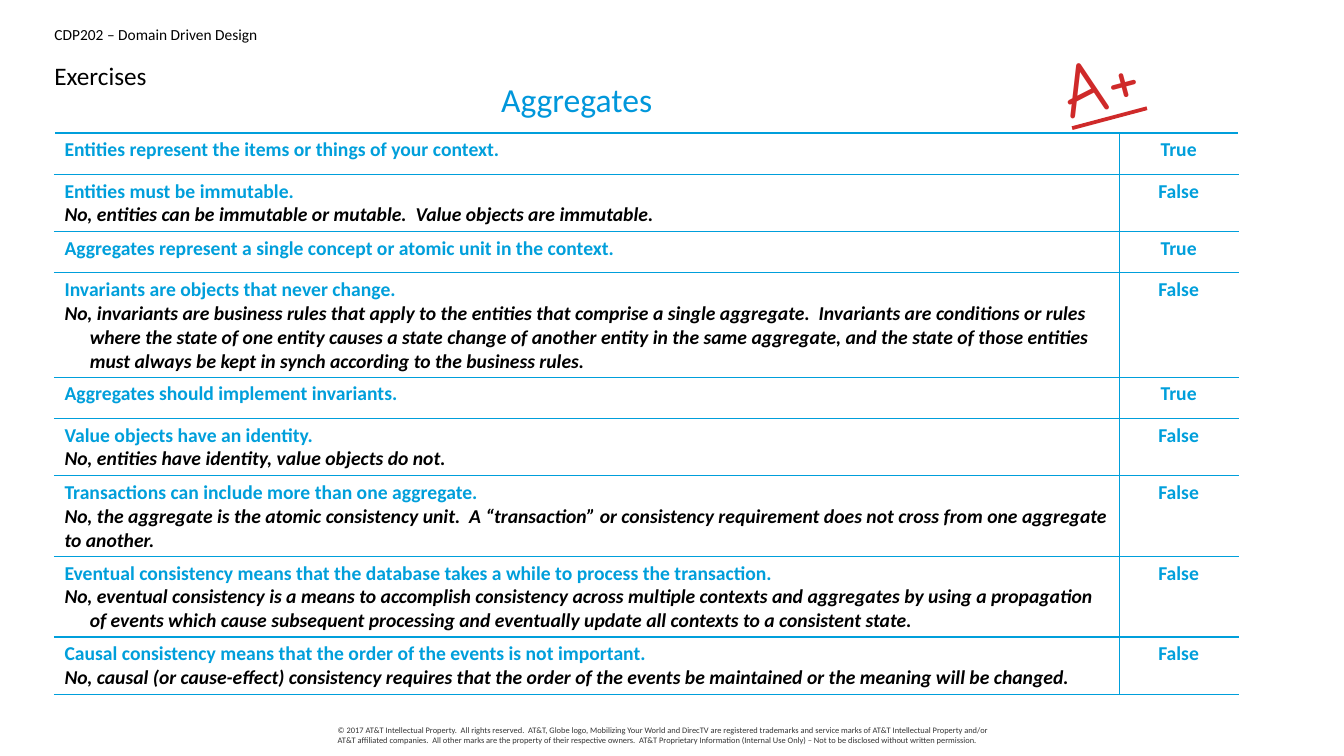
from lxml.etree import SubElement
from pptx import Presentation
from pptx.dml.color import RGBColor
from pptx.enum.text import PP_ALIGN
from pptx.oxml.ns import qn
from pptx.util import Inches, Pt

COLORS = {"blue": "009FDB", "heading": "0097DB", "black": "000000", "gray": "343434", "red": "CF2A2A"}
FONT = "Calibri"
COURSE = "CDP202 – Domain Driven Design"
TITLE = "Exercises"
TOPIC = "Aggregates"
GRADE = "A+"
COPYRIGHT = (
    "© 2017 AT&T Intellectual Property.  All rights reserved.  AT&T, Globe logo, Mobilizing Your World "
    "and DirecTV are registered trademarks and service marks of AT&T Intellectual Property and/or AT&T "
    "affiliated companies.  All other marks are the property of their respective owners.  AT&T Proprietary "
    "Information (Internal Use Only) – Not to be disclosed without written permission."
)
# statement, answer, explanation, hanging indent in inches
EXERCISES = [
    ("Entities represent the items or things of your context.", "True", "", 0),
    ("Entities must be immutable.", "False",
     "No, entities can be immutable or mutable.  Value objects are immutable.", 0),
    ("Aggregates represent a single concept or atomic unit in the context.", "True", "", 0),
    ("Invariants are objects that never change.", "False",
     "No, invariants are business rules that apply to the entities that comprise a single aggregate.  "
     "Invariants are conditions or rules where the state of one entity causes a state change of another "
     "entity in the same aggregate, and the state of those entities must always be kept in synch according "
     "to the business rules.", 0.25),
    ("Aggregates should implement invariants.", "True", "", 0),
    ("Value objects have an identity.", "False", "No, entities have identity, value objects do not.", 0),
    ("Transactions can include more than one aggregate.", "False",
     "No, the aggregate is the atomic consistency unit.  A “transaction” or consistency requirement does "
     "not cross from one aggregate to another.", 0),
    ("Eventual consistency means that the database takes a while to process the transaction.", "False",
     "No, eventual consistency is a means to accomplish consistency across multiple contexts and aggregates "
     "by using a propagation of events which cause subsequent processing and eventually update all contexts "
     "to a consistent state.", 0.25),
    ("Causal consistency means that the order of the events is not important.", "False",
     "No, causal (or cause-effect) consistency requires that the order of the events be maintained or the "
     "meaning will be changed.", 0),
]
LEFT, TABLE_TOP, ROW_HEIGHT = 0.54, 1.32, 0.41
COLUMN_WIDTHS = (10.56, 1.18)
BORDERS = (("lnR", "lnT", "lnB"), ("lnL", "lnT", "lnB"))


def add_run(paragraph, text, size, color, font=FONT, bold=False, italic=False):
    """Add one formatted run to a paragraph."""
    run = paragraph.add_run()
    run.text = text
    run.font.name = font
    run.font.size = Pt(size)
    run.font.bold = bold
    run.font.italic = italic
    run.font.color.rgb = RGBColor.from_string(COLORS[color])
    return run


def add_text(slide, box, text, size, color, font=FONT, inset=0):
    """Add a wrapped text box and return its shape, paragraph and run."""
    shape = slide.shapes.add_textbox(*map(Inches, box))
    frame = shape.text_frame
    frame.word_wrap = True
    frame.margin_left = frame.margin_right = Inches(inset)
    frame.margin_top = frame.margin_bottom = Inches(inset / 2)
    paragraph = frame.paragraphs[0]
    return shape, paragraph, add_run(paragraph, text, size, color, font)


def style_cell(cell, borders):
    """Draw the cell's borders and leave it unfilled."""
    properties = cell._tc.get_or_add_tcPr()
    for border in borders:
        line = SubElement(properties, qn(f"a:{border}"), w=str(Pt(1)))
        fill = SubElement(line, qn("a:solidFill"))
        SubElement(fill, qn("a:srgbClr"), val=COLORS["blue"])
    cell.fill.background()


def add_exercises(slide):
    """Add the table of statements and answers."""
    frame = slide.shapes.add_table(
        len(EXERCISES), len(COLUMN_WIDTHS), Inches(LEFT), Inches(TABLE_TOP),
        Inches(sum(COLUMN_WIDTHS)), Inches(ROW_HEIGHT * len(EXERCISES)))
    table = frame.table
    table.first_row = table.horz_banding = False
    for column, width in zip(table.columns, COLUMN_WIDTHS):
        column.width = Inches(width)
    for row, (statement, answer, explanation, indent) in enumerate(EXERCISES):
        table.rows[row].height = Inches(ROW_HEIGHT)
        for column, text in enumerate((statement, answer)):
            cell = table.cell(row, column)
            style_cell(cell, BORDERS[column])
            add_run(cell.text_frame.paragraphs[0], text, 14, "blue", bold=True)
        table.cell(row, 1).text_frame.paragraphs[0].alignment = PP_ALIGN.CENTER
        if explanation:
            paragraph = table.cell(row, 0).text_frame.add_paragraph()
            properties = paragraph._p.get_or_add_pPr()
            properties.set("marL", str(Inches(indent)))
            properties.set("indent", str(-Inches(indent)))
            add_run(paragraph, explanation, 14, "black", bold=True, italic=True)


def main():
    """Build the exercise slide and save it."""
    presentation = Presentation()
    presentation.slide_width, presentation.slide_height = Inches(13.33), Inches(7.5)
    slide = presentation.slides.add_slide(presentation.slide_layouts[6])
    add_text(slide, (LEFT, 0.25, 12.26, 0.2), COURSE, 11, "black")
    add_text(slide, (3.35, 7.19, 6.64, 0.24), COPYRIGHT, 6, "gray")
    _, title, _ = add_text(slide, (LEFT, 0.57, 12.26, 0.37), TITLE, 18, "black")
    title.line_spacing = 1.1
    title.space_after = Pt(10)
    add_exercises(slide)
    _, topic, _ = add_text(slide, (1.95, 0.73, 7.54, 0.5), TOPIC, 24, "heading", inset=0.1)
    topic.alignment = PP_ALIGN.CENTER
    grade, _, grade_run = add_text(slide, (10.51, 0.28, 1.26, 0.89), GRADE, 54, "red", "Comic Neue")
    grade.rotation = 345.1
    grade_run.font.underline = True
    presentation.save("out.pptx")


if __name__ == "__main__":
    main()
